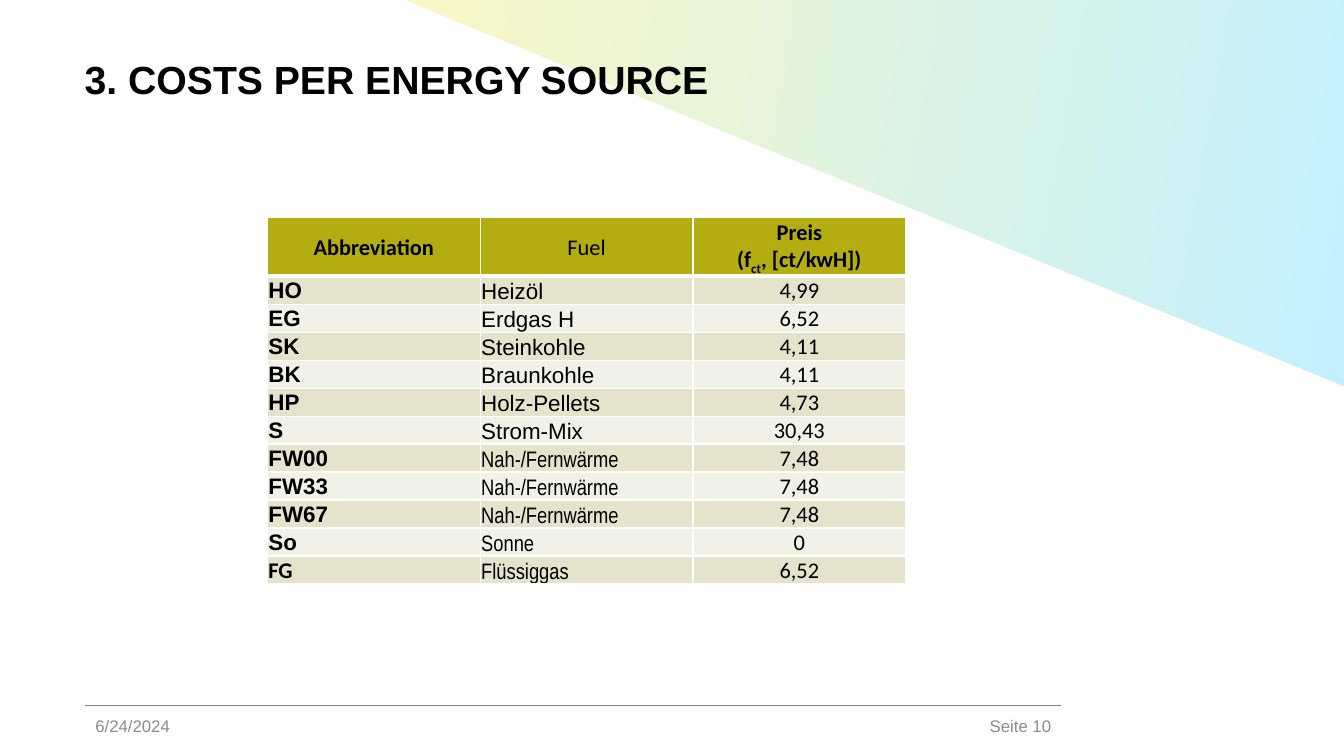
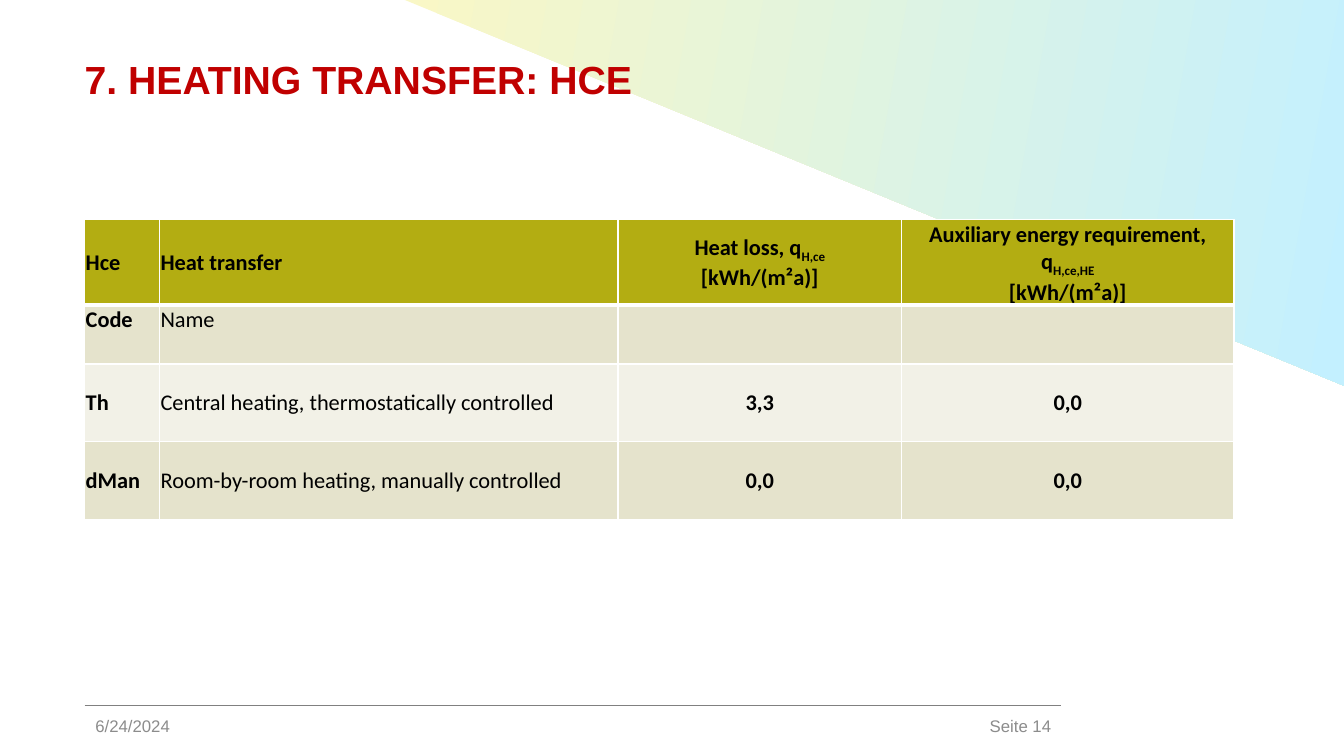
from lxml import etree
from pptx import Presentation
from pptx.dml.color import RGBColor
from pptx.enum.shapes import MSO_CONNECTOR, MSO_SHAPE
from pptx.enum.text import MSO_ANCHOR, MSO_AUTO_SIZE, PP_ALIGN
from pptx.oxml.ns import qn
from pptx.util import Pt

LEFT, CENTER, RIGHT = PP_ALIGN.LEFT, PP_ALIGN.CENTER, PP_ALIGN.RIGHT
TOP, MIDDLE, BOTTOM = MSO_ANCHOR.TOP, MSO_ANCHOR.MIDDLE, MSO_ANCHOR.BOTTOM
TRIANGLE, STRAIGHT = MSO_SHAPE.RIGHT_TRIANGLE, MSO_CONNECTOR.STRAIGHT
NO_AUTOFIT = MSO_AUTO_SIZE.NONE

COLORS = {
    "black": "000000", "red": "C00000", "white": "FFFFFF",
    "rule": "808080", "footer": "8C8C8C",
    "header": "B3AD12", "odd": "E5E3CC", "even": "F2F1E7",
    "band_start": "F9F7C6", "band_end": "C3F0FF",
}
RGB = {name: RGBColor.from_string(value) for name, value in COLORS.items()}
LEFT_EDGE = 60.5
CELL_MARGINS = {"margin_left": Pt(0.75), "margin_right": Pt(0.75),
                "margin_top": Pt(0.75), "margin_bottom": 0}
ZERO_MARGINS = dict.fromkeys(CELL_MARGINS, 0)

SLIDES = [
    {
        "title": "3. COSTS PER ENERGY SOURCE", "title_color": "black",
        "page": "Seite 10",
        "left": 191, "top": 155.5,
        "widths": [152, 152, 152], "heights": [40] + [20] * 11,
        "header_align": [CENTER, CENTER, CENTER],
        "columns": [
            {"name": "Arial", "bold": True, "align": LEFT, "anchor": MIDDLE},
            {"name": "Arial", "bold": False, "align": LEFT, "anchor": BOTTOM},
            {"name": "Calibri", "bold": False, "align": CENTER, "anchor": BOTTOM},
        ],
        "overrides": {
            (0, 1): {"bold": False},
            (11, 0): {"name": "Calibri", "anchor": TOP},
            **{(row, 1): {"name": "Arial Narrow"} for row in range(7, 12)},
        },
        "rows": [
            ["Abbreviation", "Fuel", "Preis\n(f|ct|, [ct/kwH])"],
            ["HO", "Heizöl", "4,99"],
            ["EG", "Erdgas H", "6,52"],
            ["SK", "Steinkohle", "4,11"],
            ["BK", "Braunkohle", "4,11"],
            ["HP", "Holz-Pellets", "4,73"],
            ["S", "Strom-Mix", "30,43"],
            ["FW00", "Nah-/Fernwärme", "7,48"],
            ["FW33", "Nah-/Fernwärme", "7,48"],
            ["FW67", "Nah-/Fernwärme", "7,48"],
            ["So", "Sonne", "0"],
            ["FG", "Flüssiggas", "6,52"],
        ],
    },
    {
        "title": "7. HEATING TRANSFER: HCE", "title_color": "red",
        "page": "Seite 14",
        "left": LEFT_EDGE, "top": 157,
        "widths": [53.5, 327.5, 202.5, 237.5], "heights": [60, 42, 55.5, 55.5],
        "header_align": [LEFT, LEFT, CENTER, CENTER],
        "columns": [
            {"name": "Calibri", "bold": True, "align": LEFT, "anchor": MIDDLE},
            {"name": "Calibri", "bold": False, "align": LEFT, "anchor": MIDDLE},
            {"name": "Calibri", "bold": True, "align": CENTER, "anchor": MIDDLE},
            {"name": "Calibri", "bold": True, "align": CENTER, "anchor": MIDDLE},
        ],
        "overrides": {(1, 0): {"anchor": TOP}, (1, 1): {"anchor": TOP}},
        "rows": [
            ["Hce", "Heat transfer", "Heat loss, q|H,ce|\n[kWh/(m²a)]",
             "Auxiliary energy requirement, q|H,ce,HE|\n[kWh/(m²a)]"],
            ["Code", "Name", "", ""],
            ["Th", "Central heating, thermostatically controlled", "3,3", "0,0"],
            ["dMan", "Room-by-room heating, manually controlled", "0,0", "0,0"],
        ],
    },
]


def write(tf, text, align, color, **font):
    for i, line in enumerate(text.split("\n")):
        p = tf.paragraphs[0] if i == 0 else tf.add_paragraph()
        p.alignment = align
        for j, part in enumerate(line.split("|")):
            if not part:
                continue
            r = p.add_run()
            r.text = part
            r.font.color.rgb = RGB[color]
            for key, value in font.items():
                setattr(r.font, key, value)
            if j % 2:
                r._r.get_or_add_rPr().set("baseline", "-25000")


def add_borders(cell, top, bottom):
    tc_pr = cell._tc.get_or_add_tcPr()
    sides = {"a:lnL": 1, "a:lnR": 1, "a:lnT": top, "a:lnB": bottom}
    for i, (tag, width) in enumerate(sides.items()):
        ln = etree.Element(qn(tag), w=str(Pt(width)))
        fill = etree.SubElement(ln, qn("a:solidFill"))
        etree.SubElement(fill, qn("a:srgbClr"), val=COLORS["white"])
        tc_pr.insert(i, ln)


prs = Presentation()
prs.slide_width, prs.slide_height = Pt(960), Pt(540)

for content in SLIDES:
    s = prs.slides.add_slide(prs.slide_layouts[5])
    s.background.fill.solid()
    s.background.fill.fore_color.rgb = RGB["white"]

    band = s.shapes.add_shape(TRIANGLE, Pt(288), Pt(-0.5), Pt(672), Pt(276))
    band.shadow.inherit = False
    band.line.fill.background()
    band.fill.gradient()
    band.fill.gradient_angle = 170
    for stop, name, position in zip(band.fill.gradient_stops,
                                    ["band_start", "band_end"], [0, 1]):
        stop.color.rgb = RGB[name]
        stop.position = position
    for flip in ("flipH", "flipV"):
        band._element.spPr.find(qn("a:xfrm")).set(flip, "1")
    s.shapes._spTree.insert(2, band._element)

    rule = s.shapes.add_connector(STRAIGHT, Pt(LEFT_EDGE), Pt(503.5), Pt(758), Pt(503.5))
    rule.line.color.rgb = RGB["rule"]
    rule.line.width = Pt(0.5)
    etree.SubElement(rule._element.spPr, qn("a:effectLst"))

    footers = [(628.5, content["page"], RIGHT), (61, "6/24/2024", LEFT)]
    for left, text, align in footers:
        tf = s.shapes.add_textbox(Pt(left), Pt(504), Pt(129.5), Pt(29)).text_frame
        tf.word_wrap = True
        tf.vertical_anchor = MIDDLE
        write(tf, text, align, "footer", name="Arial", size=Pt(12))
        tf.paragraphs[0].space_after = Pt(6)

    title = s.shapes.title
    title.left, title.top = Pt(LEFT_EDGE), Pt(43)
    title.width, title.height = Pt(697), Pt(28)
    tf = title.text_frame
    title_format = {"word_wrap": True, "auto_size": NO_AUTOFIT,
                    "vertical_anchor": TOP, **ZERO_MARGINS}
    for key, value in title_format.items():
        setattr(tf, key, value)
    write(tf, content["title"], LEFT, content["title_color"],
          name="Arial", size=Pt(28), bold=True)
    tf.paragraphs[0].line_spacing = 0.9

    rows, widths, heights = content["rows"], content["widths"], content["heights"]
    table = s.shapes.add_table(len(rows), len(widths), Pt(content["left"]),
                               Pt(content["top"]), Pt(sum(widths)),
                               Pt(sum(heights))).table
    table.first_row = table.horz_banding = False
    for column, width in zip(table.columns, widths):
        column.width = Pt(width)
    for i, (row, height) in enumerate(zip(rows, heights)):
        table.rows[i].height = Pt(height)
        for j, text in enumerate(row):
            style = dict(content["columns"][j])
            if i == 0:
                style = {"name": "Calibri", "bold": True, "anchor": MIDDLE,
                         "align": content["header_align"][j]}
            style.update(content["overrides"].get((i, j), {}))
            cell = table.cell(i, j)
            cell.fill.solid()
            cell.fill.fore_color.rgb = RGB["header" if i == 0 else "odd" if i % 2 else "even"]
            add_borders(cell, top=3 if i == 1 else 1, bottom=3 if i == 0 else 1)
            for key, value in CELL_MARGINS.items():
                setattr(cell, key, value)
            cell.vertical_anchor = style["anchor"]
            write(cell.text_frame, text, style["align"], "black",
                  name=style["name"], size=Pt(16), bold=style["bold"])

prs.save("out.pptx")
